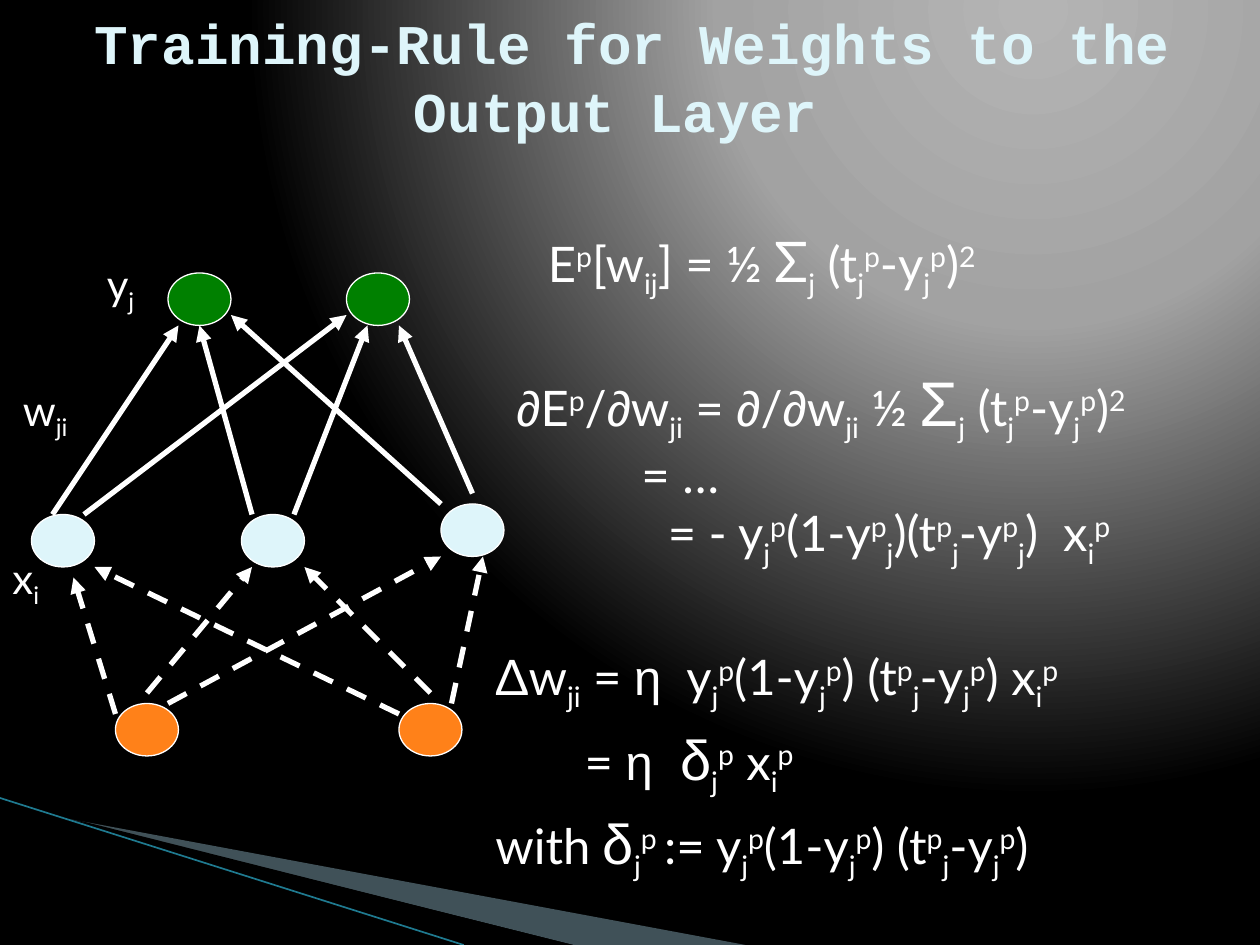
from typing import NamedTuple

from lxml.etree import SubElement
from pptx import Presentation
from pptx.dml.color import RGBColor
from pptx.enum.dml import MSO_LINE
from pptx.enum.shapes import MSO_CONNECTOR, MSO_SHAPE
from pptx.enum.text import MSO_ANCHOR, MSO_AUTO_SIZE, PP_ALIGN
from pptx.oxml import parse_xml
from pptx.oxml.ns import nsdecls, qn
from pptx.util import Pt

WHITE = RGBColor(0xFF, 0xFF, 0xFF)
BLACK = RGBColor(0, 0, 0)
ICE = RGBColor(0xDE, 0xF5, 0xFA)
GREEN = RGBColor(0, 0x80, 0)
ORANGE = RGBColor(0xFF, 0x81, 0x19)
WEDGE = RGBColor(0xA0, 0xCB, 0xDC)
TEAL = RGBColor(0x1F, 0x7A, 0x90)

BACKGROUND = f"""<p:bg {nsdecls('p', 'a')}><p:bgPr><a:gradFill rotWithShape="1"><a:gsLst>
<a:gs pos="0"><a:srgbClr val="B4B4B4"/></a:gs><a:gs pos="40000"><a:srgbClr val="A2A2A2"/></a:gs>
<a:gs pos="100000"><a:srgbClr val="000000"/></a:gs></a:gsLst>
<a:path path="circle"><a:fillToRect l="65000" t="0" r="0" b="98000"/></a:path>
</a:gradFill><a:effectLst/></p:bgPr></p:bg>"""

BASELINES = {"^": "30000", "_": "-25000"}
SYMBOL_FONTS = {"@": "Arial", "+": "Arial", "*": "Lato"}
BIG_MARKS = "+*"


class Layer(NamedTuple):
    color: RGBColor
    centers: tuple


class Edge(NamedTuple):
    start: tuple
    end: tuple


class Line(NamedTuple):
    markup: str
    indent: float = 0


class Block(NamedTuple):
    left: float
    top: float
    width: float
    height: float
    lines: tuple
    size: float = 28
    big: float = 32
    before: float = 0
    wrap: bool = True


LAYERS = (
    Layer(ORANGE, ((84, 417), (246, 417))),
    Layer(ICE, ((36, 309), (156, 309), (270, 303))),
    Layer(GREEN, ((114, 171), (216, 171))),
)
INPUT_EDGES = (
    Edge((96, 402), (252, 318)), Edge((84, 396), (144, 324)), Edge((66, 408), (42, 330)),
    Edge((258, 402), (276, 318)), Edge((246, 396), (174, 324)), Edge((228, 408), (54, 324)),
)
OUTPUT_EDGES = (
    Edge((252, 288), (132, 180)), Edge((168, 294), (210, 186)), Edge((48, 294), (198, 180)),
    Edge((30, 294), (102, 186)), Edge((144, 294), (114, 186)), Edge((270, 282), (228, 186)),
)

SQUARED_ERROR = "_j| (t|_j|^p|-y|_j|^p|)|^2"
DELTA = "y|_j|^p|(1-y|_j|^p|) (t|^p|_j|-y|_j|^p|)"
BLOCKS = (
    Block(54, 144, 31, 36, (Line("y|_j"),), size=24, wrap=False),
    Block(0, 312, 30, 36, (Line("x|_i"),), size=24, wrap=False),
    Block(6, 216, 40, 36, (Line("w|_ji"),), size=24),
    Block(306, 126, 324, 45, (Line(f"E|^p|[w|_ij|] = ½ |*Σ|{SQUARED_ERROR}"),), before=6),
    Block(288, 204, 415, 118, (
        Line(f"@∂|E|^p|/|@∂|w|_ji| = |@∂|/|@∂|w|_ji| ½ |+Σ|{SQUARED_ERROR}"),
        Line("= …", 71.5),
        Line("= - y|_j|^p|(1-y|^p|_j|)(t|^p|_j|-y|^p|_j|)  x|_i|^p", 86.5),
    ), big=36),
    Block(276, 366, 384, 134, (
        Line(f"Δw|_ji| = |@η|  {DELTA}| x|_i|^p"),
        Line("= |@η  |+δ|_j|^p| x|_i|^p", 51),
        Line(f"with |+δ|_j|^p |:= {DELTA}"),
    ), before=6),
)


def apply(target, formats: dict) -> None:
    for name, value in formats.items():
        setattr(target, name, value)


def add_span(para, text: str, font: dict, color: RGBColor):
    span = para.add_run()
    span.text = text
    apply(span.font, font)
    span.font.color.rgb = color
    return span


def add_marked_span(para, piece: str, block: Block) -> None:
    mark = piece[0]
    marked = mark in BASELINES or mark in SYMBOL_FONTS
    font = {
        "name": SYMBOL_FONTS.get(mark, "Lato"),
        "size": Pt(block.big if mark in BIG_MARKS else block.size),
    }
    span = add_span(para, piece[1:] if marked else piece, font, WHITE)
    if mark in BASELINES:
        span._r.get_or_add_rPr().set("baseline", BASELINES[mark])


def add_block(page, block: Block) -> None:
    box = page.shapes.add_textbox(*map(Pt, block[:4]))
    frame = box.text_frame
    apply(frame, {"word_wrap": block.wrap, "auto_size": MSO_AUTO_SIZE.SHAPE_TO_FIT_TEXT})
    for index, line in enumerate(block.lines):
        para = frame.add_paragraph() if index else frame.paragraphs[0]
        para.space_before = Pt(block.before)
        if line.indent:
            para._p.get_or_add_pPr().set("marL", str(Pt(line.indent)))
        for piece in line.markup.split("|"):
            add_marked_span(para, piece, block)


def add_title(page) -> None:
    box = page.shapes.add_textbox(Pt(37.5), Pt(-1.5), Pt(648), Pt(90))
    apply(box.text_frame, {"word_wrap": True, "vertical_anchor": MSO_ANCHOR.MIDDLE})
    para = box.text_frame.paragraphs[0]
    para.alignment = PP_ALIGN.CENTER
    font = {"name": "Courier New", "size": Pt(32), "bold": True}
    add_span(para, "Training-Rule for Weights to the Output Layer ", font, ICE)


def add_line(page, edge: Edge, color: RGBColor, width: float):
    line = page.shapes.add_connector(
        MSO_CONNECTOR.STRAIGHT, *map(Pt, edge.start), *map(Pt, edge.end))
    line.line.color.rgb = color
    line.line.width = Pt(width)
    SubElement(line._element.spPr, qn("a:effectLst"))
    return line


def add_arrow(page, edge: Edge, dashed: bool) -> None:
    arrow = add_line(page, edge, WHITE, 3)
    if dashed:
        arrow.line.dash_style = MSO_LINE.DASH
    SubElement(arrow.line._get_or_add_ln(), qn("a:tailEnd"), type="triangle")


def add_node(page, center: tuple, color: RGBColor) -> None:
    across, down = center
    node = page.shapes.add_shape(
        MSO_SHAPE.OVAL, Pt(across - 18), Pt(down - 15), Pt(36), Pt(30))
    node.shadow.inherit = False
    node.fill.solid()
    node.fill.fore_color.rgb = color
    node.line.color.rgb = WHITE
    node.line.width = Pt(0.75)


def add_triangle(page, corners: tuple, color: RGBColor, opacity: int = 100) -> None:
    first, *rest = [tuple(map(Pt, corner)) for corner in corners]
    builder = page.shapes.build_freeform(*first)
    builder.add_line_segments(rest)
    triangle = builder.convert_to_shape()
    triangle.shadow.inherit = False
    triangle.fill.solid()
    triangle.fill.fore_color.rgb = color
    triangle.line.fill.background()
    if opacity < 100:
        shade = triangle._element.spPr.find(qn("a:solidFill"))[0]
        SubElement(shade, qn("a:alpha"), val=str(opacity * 1000))


def main() -> None:
    deck = Presentation()
    apply(deck, {"slide_width": Pt(720), "slide_height": Pt(540)})
    page = deck.slides.add_slide(deck.slide_layouts[6])
    page._element.cSld.insert(0, parse_xml(BACKGROUND))
    add_triangle(page, ((39.6, 468), (426, 540), (328, 540)), WEDGE, 40)
    add_triangle(page, ((38, 467), (327, 540), (268, 540)), BLACK)
    add_line(page, Edge((0, 456), (265, 540)), TEAL, 0.95)
    add_title(page)
    for edges, dashed in ((INPUT_EDGES, True), (OUTPUT_EDGES, False)):
        for edge in edges:
            add_arrow(page, edge, dashed)
    for layer in LAYERS:
        for center in layer.centers:
            add_node(page, center, layer.color)
    for block in BLOCKS:
        add_block(page, block)
    deck.save("out.pptx")


if __name__ == "__main__":
    main()
